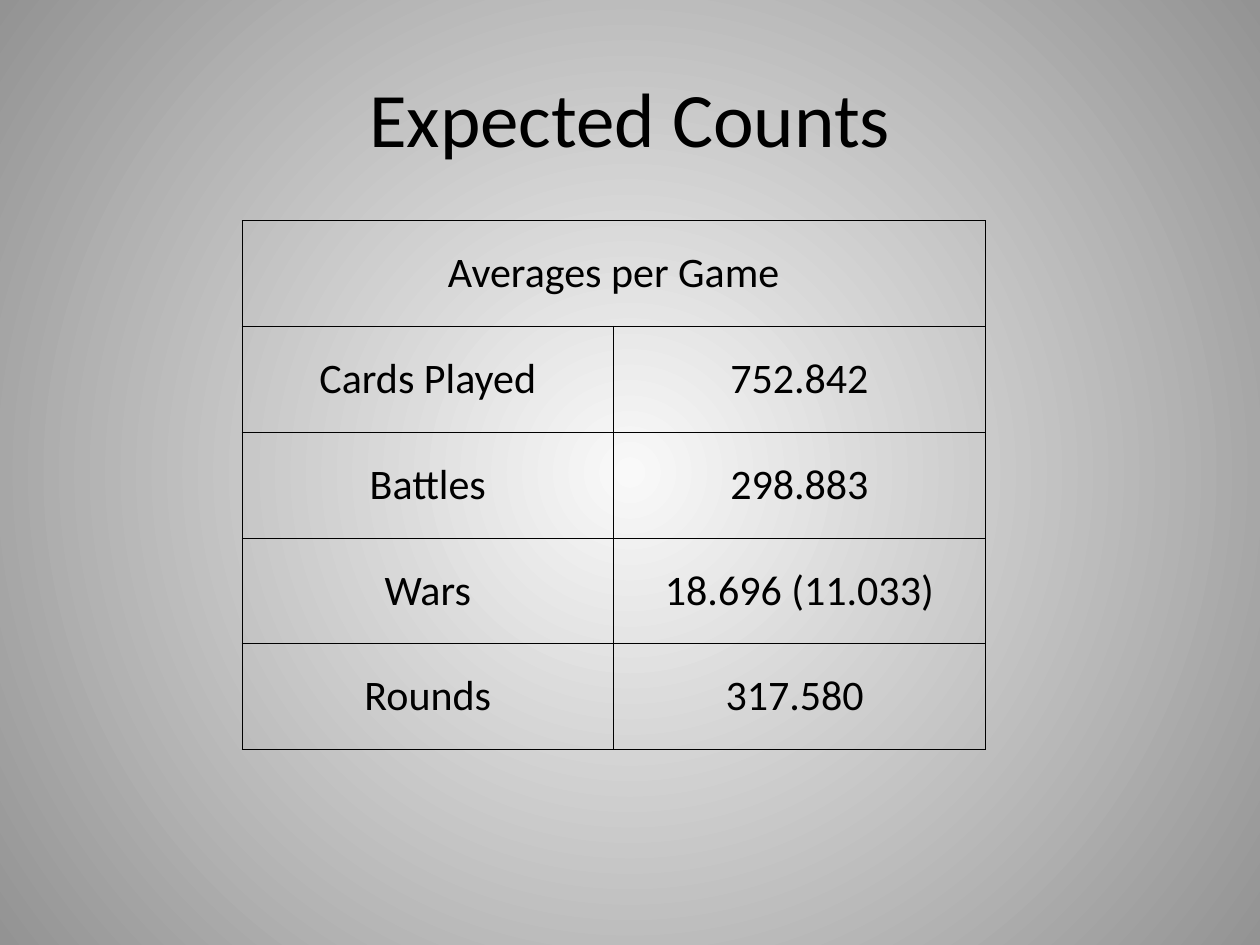
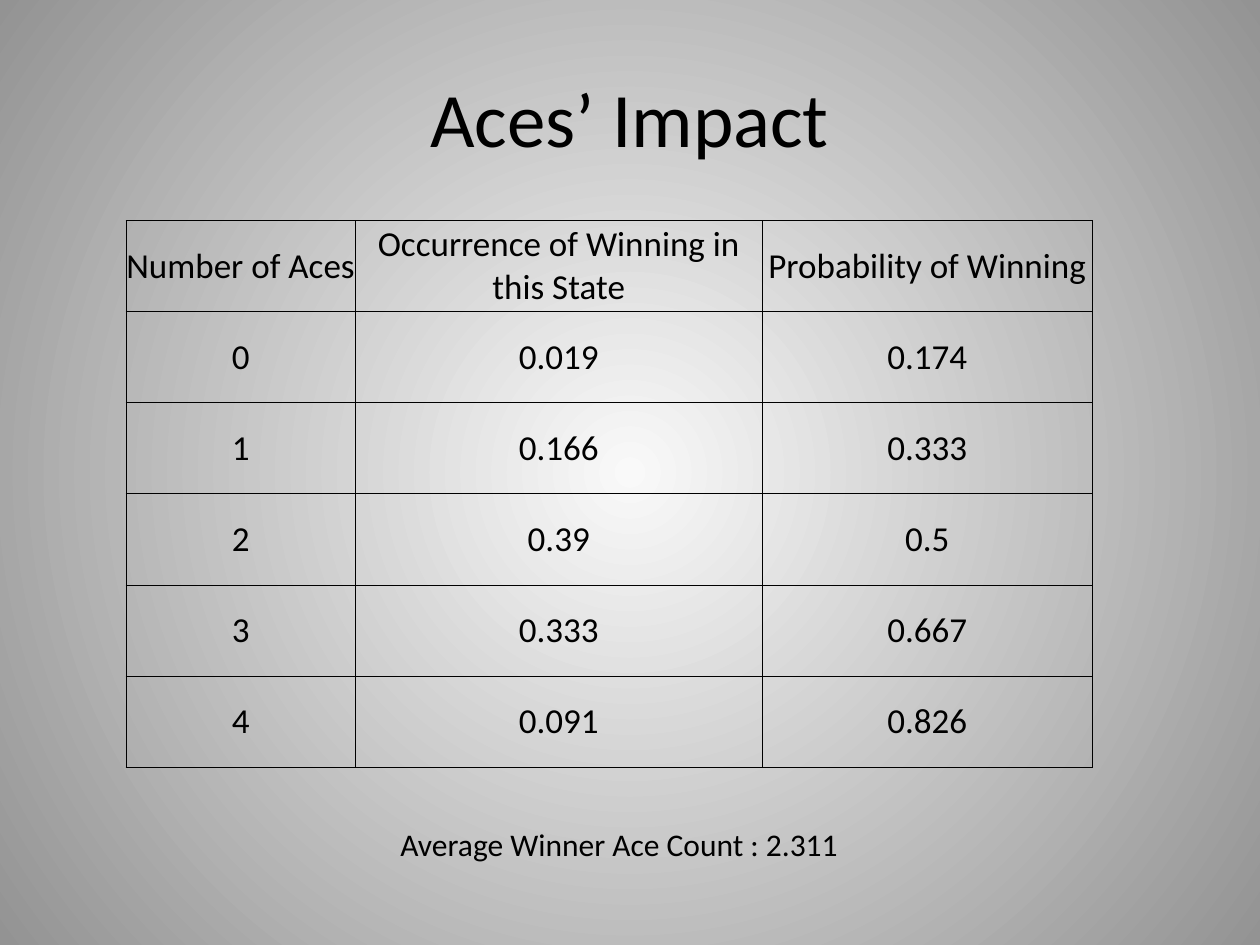
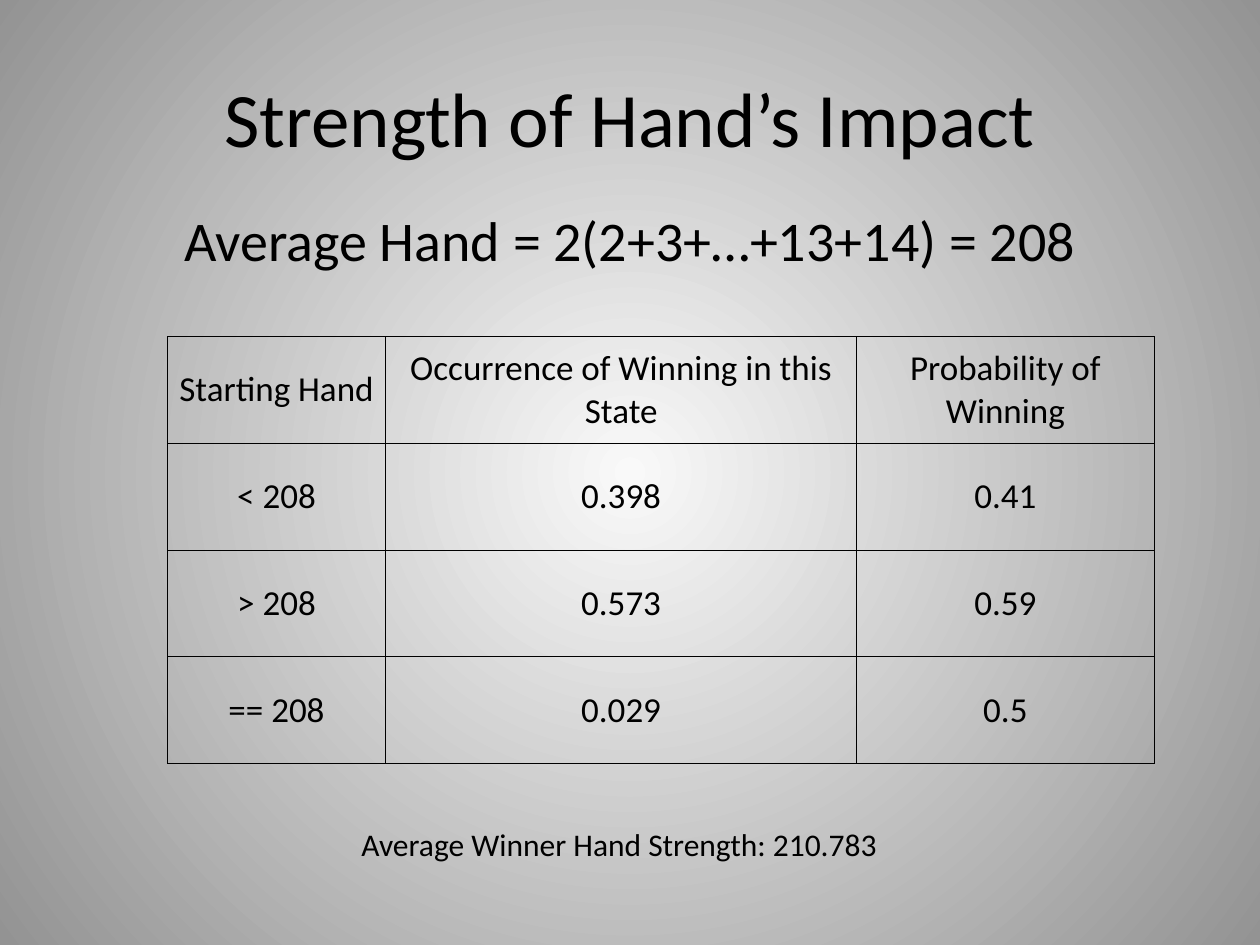
from lxml.etree import SubElement
from pptx import Presentation
from pptx.dml.color import RGBColor
from pptx.enum.text import MSO_ANCHOR, PP_ALIGN
from pptx.oxml.ns import qn
from pptx.util import Inches, Pt

FONT = "Calibri"
INK = "000000"
GLOW = ("F9F9F9", "939393")
TITLE_AREA = (0.5, 0.3, 9, 1.25)
FORMULA_AREA = (0.5, 1.58, 9, 0.75)
SUMMARY_AREA = (1.08, 6.5, 7.67, 0.4)

PAGES = [
    {
        "title": "Expected Counts",
        "origin": (1.92, 1.75),
        "widths": (2.95, 2.95),
        "height": 4.2,
        "size": 24,
        "rows": [
            ("Averages per Game",),
            ("Cards Played", "752.842"),
            ("Battles", "298.883"),
            ("Wars", "18.696 (11.033)"),
            ("Rounds", "317.580 "),
        ],
    },
    {
        "title": "Aces’ Impact",
        "origin": (1, 1.75),
        "widths": (1.82, 3.23, 2.62),
        "height": 4.34,
        "size": 20,
        "rows": [
            ("Number of Aces", "Occurrence of Winning in this State", "Probability of Winning"),
            ("0", "0.019", "0.174"),
            ("1", "0.166", "0.333"),
            ("2", "0.39", "0.5"),
            ("3", "0.333", "0.667"),
            ("4", "0.091", "0.826"),
        ],
        "summary": "Average Winner Ace Count : 2.311",
    },
    {
        "title": "Strength of Hand’s Impact",
        "formula": "Average Hand = 2(2+3+…+13+14) = 208",
        "origin": (1.33, 2.67),
        "widths": (1.73, 3.74, 2.36),
        "height": 3.39,
        "size": 20,
        "rows": [
            ("Starting Hand", "Occurrence of Winning in this State", "Probability of Winning"),
            ("< 208", "0.398", "0.41"),
            ("> 208", "0.573", "0.59"),
            ("== 208", "0.029", "0.5"),
        ],
        "summary": "Average Winner Hand Strength: 210.783",
    },
]


def color(value):
    return RGBColor.from_string(value)


def paint_background(master):
    fill = master.background.fill
    fill.gradient()
    for stop, shade, position in zip(fill.gradient_stops, GLOW, (0, 1)):
        stop.color.rgb = color(shade)
        stop.position = position
    gradient = master.element.find(".//" + qn("a:gradFill"))
    gradient.remove(gradient.find(qn("a:lin")))
    circle = SubElement(gradient, qn("a:path"), {"path": "circle"})
    SubElement(circle, qn("a:fillToRect"), {side: "50000" for side in "ltrb"})


def write(frame, text, size):
    paragraph = frame.paragraphs[0]
    paragraph.alignment = PP_ALIGN.CENTER
    span = paragraph.add_run()
    span.text = text
    span.font.name = FONT
    span.font.size = Pt(size)
    span.font.color.rgb = color(INK)
    return paragraph


def add_text(page, area, text, size, anchor=MSO_ANCHOR.TOP):
    frame = page.shapes.add_textbox(*map(Inches, area)).text_frame
    frame.word_wrap = True
    frame.vertical_anchor = anchor
    return write(frame, text, size)


def style_cell(cell):
    cell.margin_left = cell.margin_right = cell.margin_top = cell.margin_bottom = 0
    cell.vertical_anchor = MSO_ANCHOR.MIDDLE
    properties = cell._tc.get_or_add_tcPr()
    for side in ("lnL", "lnR", "lnT", "lnB"):
        line = SubElement(properties, qn(f"a:{side}"), {"w": str(Pt(0.5))})
        SubElement(SubElement(line, qn("a:solidFill")), qn("a:srgbClr"), {"val": INK})
    cell.fill.background()


def add_results(page, content):
    rows, widths = content["rows"], content["widths"]
    size = (sum(widths), content["height"])
    table = page.shapes.add_table(
        len(rows), len(widths), *map(Inches, content["origin"] + size)
    ).table
    table.first_row = table.horz_banding = False
    for column, width in zip(table.columns, widths):
        column.width = Inches(width)
    for cell in table.iter_cells():
        style_cell(cell)
    for index, values in enumerate(rows):
        table.rows[index].height = Inches(content["height"] / len(rows))
        if len(values) < len(widths):
            table.cell(index, 0).merge(table.cell(index, len(widths) - 1))
        for column, value in enumerate(values):
            write(table.cell(index, column).text_frame, value, content["size"])


def main():
    deck = Presentation()
    deck.slide_width, deck.slide_height = Inches(10), Inches(7.5)
    paint_background(deck.slide_master)
    for content in PAGES:
        page = deck.slides.add_slide(deck.slide_layouts[6])
        add_text(page, TITLE_AREA, content["title"], 44, MSO_ANCHOR.MIDDLE)
        if "formula" in content:
            formula = add_text(page, FORMULA_AREA, content["formula"], 32)
            formula.space_before = Pt(6.4)
        add_results(page, content)
        if "summary" in content:
            add_text(page, SUMMARY_AREA, content["summary"], 18)
    deck.save("out.pptx")


if __name__ == "__main__":
    main()
